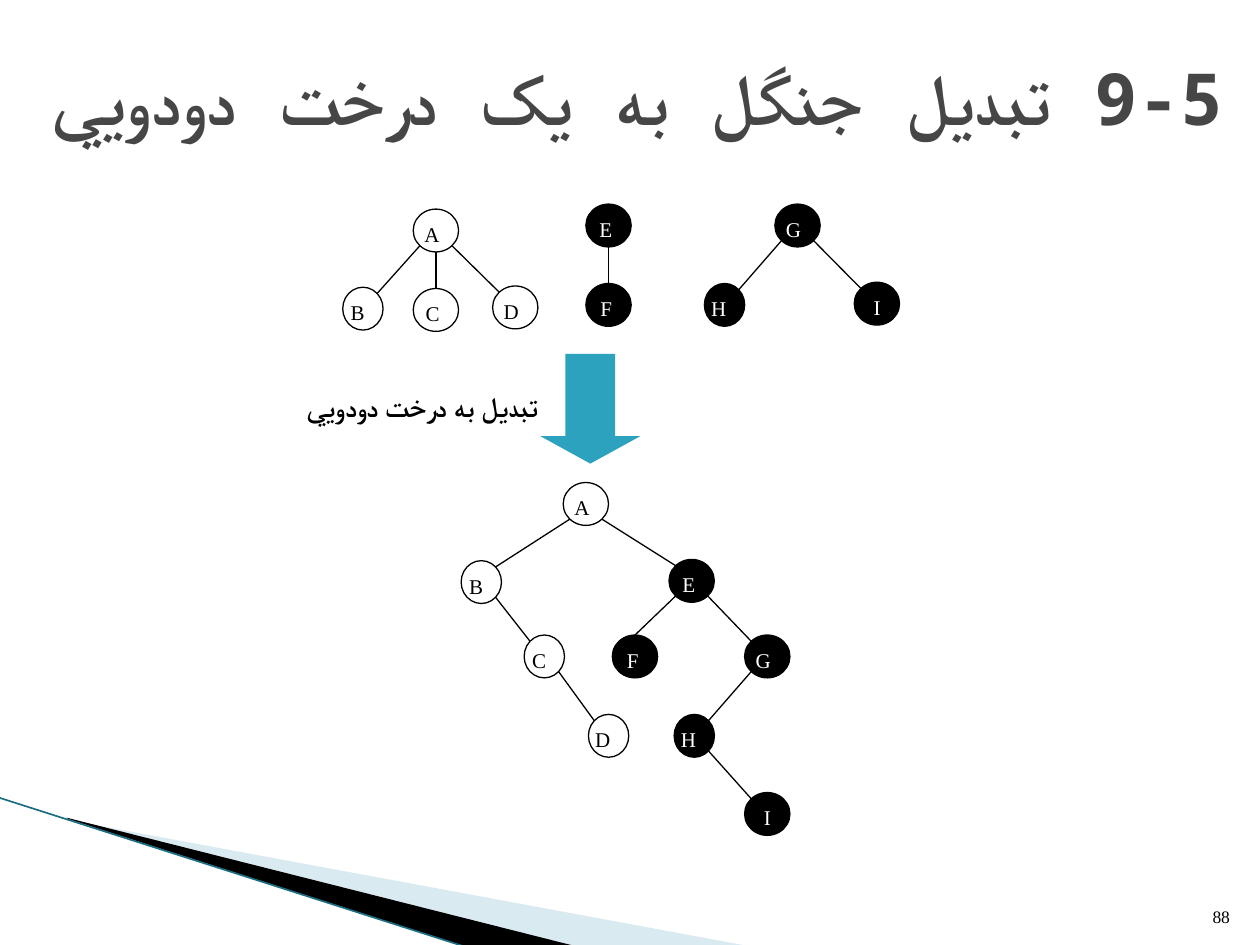
from lxml import etree
from pptx import Presentation
from pptx import util as u
from pptx.dml.color import RGBColor
from pptx.enum import shapes, text
from pptx.oxml import ns

BLACK, WHITE = "000000", "FFFFFF"
NODE_H = 0.34
DIAGONAL = 0.5 ** 0.5 / 2  # 45 degree point of an ellipse, as a share of its size


def rgb(value):
    return RGBColor.from_string(value)


class Deck:
    font = "Times New Roman"
    line_width = u.Pt(0.75)

    def __init__(self, s):
        self.s = s

    def set_text(self, sp, content, size, color, font=None, bold=False,
                 align=text.PP_ALIGN.RIGHT, anchor=text.MSO_ANCHOR.TOP):
        """Put one right-to-left paragraph in a shape."""
        tf = sp.text_frame
        tf.word_wrap = True
        tf.vertical_anchor = anchor
        p = tf.paragraphs[0]
        p.alignment = align
        p._p.get_or_add_pPr().set("rtl", "1")
        r = p.add_run()
        r.text = content
        r.font.name = font or self.font
        r.font.size = u.Pt(size)
        r.font.bold = bold
        r.font.color.rgb = rgb(color)
        cs = etree.SubElement(r.font._element, ns.qn("a:cs"))
        cs.set("typeface", font or self.font)

    def textbox(self, box, content, size, color, **style):
        sp = self.s.shapes.add_textbox(*map(u.Inches, box))
        self.set_text(sp, content, size, color, **style)

    def shape(self, kind, box, fill, line=None):
        sp = self.s.shapes.add_shape(kind, *map(u.Inches, box))
        sp.shadow.inherit = False
        sp.fill.solid()
        sp.fill.fore_color.rgb = rgb(fill)
        if line:
            sp.line.color.rgb = rgb(line)
            sp.line.width = self.line_width
        else:
            sp.line.fill.background()
        return sp

    def polygon(self, points, fill, opacity=None):
        points = [(u.Inches(x), u.Inches(y)) for x, y in points]
        builder = self.s.shapes.build_freeform(*points[0])
        builder.add_line_segments(points[1:], close=True)
        sp = builder.convert_to_shape()
        sp.shadow.inherit = False
        sp.fill.solid()
        sp.fill.fore_color.rgb = rgb(fill)
        sp.line.fill.background()
        if opacity:
            clr = sp._element.spPr.find(".//" + ns.qn("a:srgbClr"))
            etree.SubElement(clr, ns.qn("a:alpha")).set("val", str(opacity * 1000))

    def line(self, start, end, color=BLACK, width=None):
        ends = [u.Inches(v) for v in (*start, *end)]
        c = self.s.shapes.add_connector(shapes.MSO_CONNECTOR.STRAIGHT, *ends)
        c.line.color.rgb = rgb(color)
        c.line.width = width or self.line_width
        etree.SubElement(c._element.spPr, ns.qn("a:effectLst"))

    def node(self, name, x, y, w):
        dark = name in "EFGHI"
        fill, color = (BLACK, WHITE) if dark else (WHITE, BLACK)
        sp = self.shape(shapes.MSO_SHAPE.OVAL, (x, y, w, NODE_H), fill, BLACK)
        self.set_text(sp, name, 12, color)

    def edge(self, parent, child, to_top=False):
        """Join the facing diagonal points, or bottom to top when aligned."""
        (px, py, pw), (cx, cy, cw) = parent, child
        px, cx = px + pw / 2, cx + cw / 2
        drop = NODE_H * (0.5 + DIAGONAL)
        side = 0 if abs(cx - px) < 0.05 else (1 if cx > px else -1)
        start = (px + side * pw * DIAGONAL, py + (drop if side else NODE_H))
        if to_top or not side:
            end = (cx, cy)
        else:
            end = (cx - side * cw * DIAGONAL, cy + NODE_H - drop)
        self.line(start, end)

    def tree(self, nodes, edges, top_edges=()):
        for parent, child in edges:
            self.edge(nodes[parent], nodes[child], parent + child in top_edges)
        for name, place in nodes.items():
            self.node(name, *place)


FOREST = {
    "A": (3.28, 1.66, 0.36), "B": (2.72, 2.28, 0.32),
    "C": (3.28, 2.29, 0.36), "D": (3.91, 2.27, 0.36),
    "E": (4.65, 1.62, 0.36), "F": (4.65, 2.25, 0.36),
    "G": (6.15, 1.62, 0.36), "H": (5.59, 2.25, 0.32),
    "I": (6.78, 2.24, 0.36),
}
BINARY = {
    "A": (4.47, 3.83, 0.36), "B": (3.66, 4.45, 0.32),
    "C": (4.16, 5.04, 0.32), "D": (4.67, 5.67, 0.32),
    "E": (5.31, 4.44, 0.36), "F": (4.86, 5.04, 0.36),
    "G": (5.91, 5.04, 0.36), "H": (5.35, 5.67, 0.32),
    "I": (5.91, 6.29, 0.36),
}


def main():
    prs = Presentation()
    prs.slide_width, prs.slide_height = u.Inches(10), u.Inches(7.5)
    deck = Deck(prs.slides.add_slide(prs.slide_layouts[6]))

    deck.polygon([(0.55, 6.51), (5.95, 7.51), (4.56, 7.51), (0.55, 6.5)], "A0CBDC", 40)
    deck.polygon([(0.53, 6.49), (4.57, 7.51), (3.72, 7.52), (0.54, 6.5)], BLACK)
    deck.line((-0.01, 6.33), (3.71, 7.52), "1B6E82", u.Pt(0.95))

    deck.textbox((0.2, 0.3, 9.61, 0.93), "9-5 تبديل جنگل به يک درخت دودويي", 41, "464646",
                 font="Noto Sans Mono", bold=True, anchor=text.MSO_ANCHOR.MIDDLE)

    deck.tree(FOREST, ["AB", "AC", "AD", "EF", "GH", "GI"])
    deck.tree(BINARY, ["AB", "AE", "BC", "CD", "EF", "EG", "GH", "HI"], top_edges=["EF"])

    arrow = deck.shape(shapes.MSO_SHAPE.DOWN_ARROW, (4.29, 2.81, 0.79, 0.87), "2DA2BF")
    arrow.adjustments[0], arrow.adjustments[1] = 0.5, 0.275
    deck.textbox((1.46, 3.04, 2.91, 0.37), "تبديل به درخت دودويي", 16, BLACK,
                 bold=True, align=text.PP_ALIGN.JUSTIFY)
    deck.textbox((9.46, 7.01, 0.4, 0.4), "88", 10, BLACK, anchor=text.MSO_ANCHOR.BOTTOM)

    prs.save("out.pptx")


if __name__ == "__main__":
    main()
